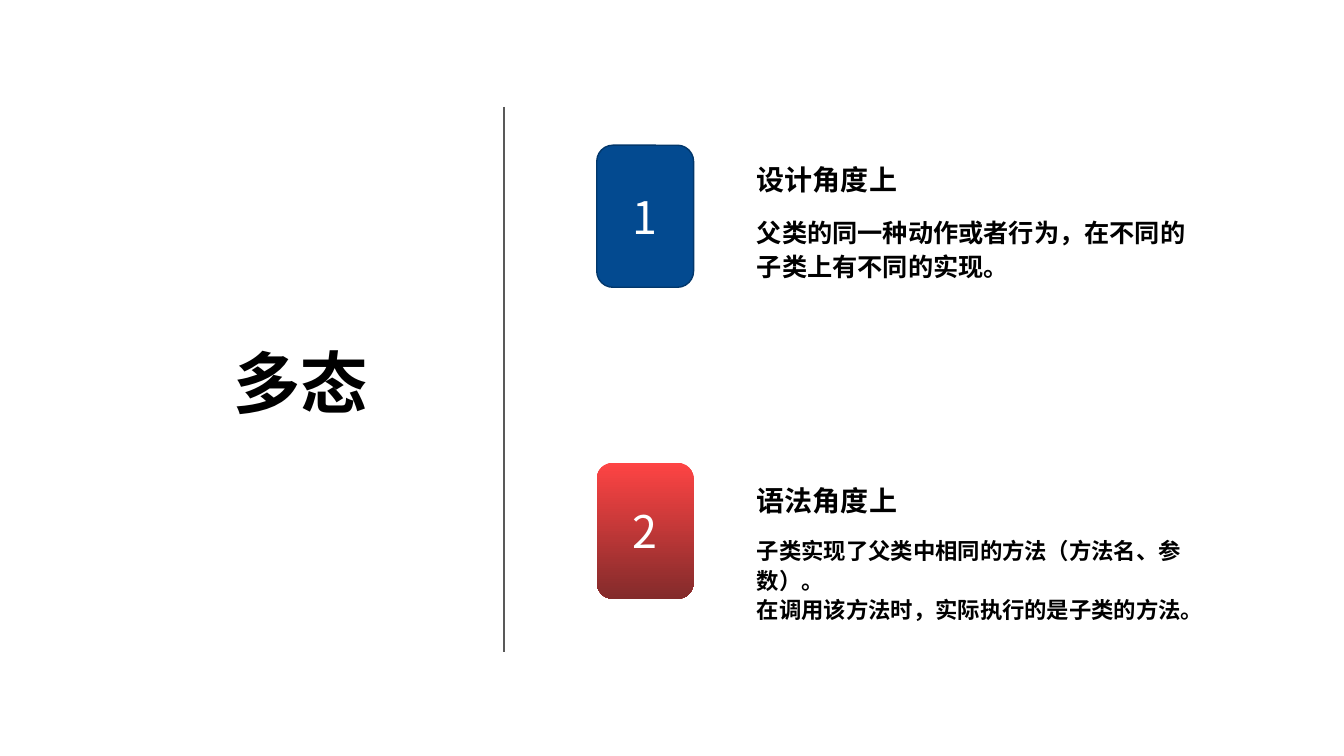
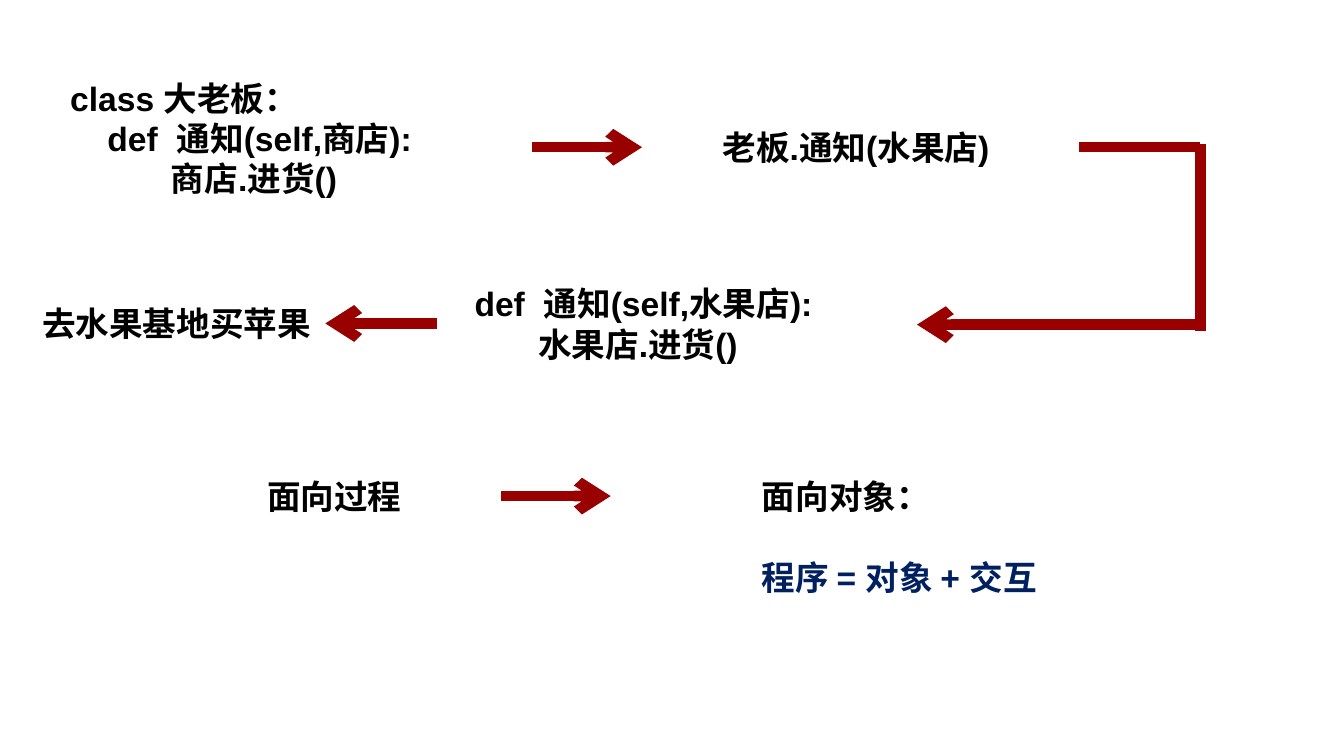
from lxml.etree import SubElement
from pptx import Presentation
from pptx.dml.color import RGBColor
from pptx.enum.shapes import MSO_CONNECTOR, MSO_SHAPE
from pptx.enum.text import MSO_ANCHOR, MSO_AUTO_SIZE, PP_ALIGN
from pptx.oxml.ns import qn
from pptx.util import Cm, Pt

COLORS = {
    "ink": "000000",
    "white": "FFFFFF",
    "rule": "595959",
    "blue": "034A90",
    "blue_edge": "02376B",
    "red_top": "FE4444",
    "red_bottom": "832B2B",
    "arrow": "990000",
    "navy": "002060",
}
CJK_FONT = "Noto Sans CJK SC"
CODE_FONT = "Arial"
LINE_HEIGHT = 1.2
CODE_STEPS = (0, 0.94, 2.54)


def rgb(name):
    return RGBColor.from_string(COLORS[name])


def place(shape, left, top, width, height):
    shape.left, shape.top = Cm(left), Cm(top)
    shape.width, shape.height = Cm(width), Cm(height)
    return shape


def add_run(paragraph, text, size, font, color, bold, spread=0):
    run = paragraph.add_run()
    run.text = text
    run.font.size, run.font.bold, run.font.name = Pt(size), bold, font
    run.font.color.rgb = rgb(color)
    properties = run._r.get_or_add_rPr()
    SubElement(properties, qn("a:ea")).set("typeface", CJK_FONT)
    if spread:
        properties.set("spc", str(round(spread * 100)))


def write(frame, text, size=24, font=CJK_FONT, color="ink", bold=True,
          align=PP_ALIGN.LEFT, anchor=MSO_ANCHOR.TOP, spacing=1.0,
          indent=0, before=0, keyword_gap=0, first=True):
    frame.word_wrap = True
    frame.auto_size = MSO_AUTO_SIZE.NONE
    frame.vertical_anchor = anchor
    for number, line in enumerate(text.split("\n")):
        fresh = first and number == 0
        paragraph = frame.paragraphs[0] if fresh else frame.add_paragraph()
        paragraph.alignment = align
        paragraph.line_spacing = Pt(size * LINE_HEIGHT * spacing)
        paragraph.space_before = Pt(before)
        properties = paragraph._p.get_or_add_pPr()
        properties.set("marL", str(Cm(indent)))
        properties.set("indent", "0")
        SubElement(properties, qn("a:buNone"))
        if keyword_gap:
            keyword, space, rest = line.partition(" ")
            add_run(paragraph, keyword, size, font, color, bold)
            add_run(paragraph, space, size, font, color, bold, keyword_gap)
            add_run(paragraph, rest, size, font, color, bold)
        else:
            add_run(paragraph, line, size, font, color, bold)


def add_line(slide, start, end, color="arrow", width=7.5, arrow=True):
    line = slide.shapes.add_connector(
        MSO_CONNECTOR.STRAIGHT, *(Cm(value) for value in start + end))
    line.line.color.rgb = rgb(color)
    line.line.width = Pt(width)
    properties = line._element.spPr
    if arrow:
        outline = properties.find(qn("a:ln"))
        SubElement(outline, qn("a:tailEnd")).set("type", "arrow")
    SubElement(properties, qn("a:effectLst"))


def add_badge(slide, number, top, height, colors, edge=None):
    badge = place(slide.shapes.add_shape(MSO_SHAPE.ROUNDED_RECTANGLE, 0, 0, 0, 0),
                  15.04, top, 2.44, height)
    badge.shadow.inherit = False
    if len(colors) == 1:
        badge.fill.solid()
        badge.fill.fore_color.rgb = rgb(colors[0])
    else:
        badge.fill.gradient()
        badge.fill.gradient_angle = 270
        for stop, color in zip(badge.fill.gradient_stops, colors):
            stop.color.rgb = rgb(color)
    if edge:
        badge.line.color.rgb = rgb(edge)
        badge.line.width = Pt(1)
    else:
        badge.line.fill.background()
    write(badge.text_frame, number, size=32, color="white", bold=False,
          align=PP_ALIGN.CENTER, anchor=MSO_ANCHOR.MIDDLE)


def add_label(slide, text, left, top, width, height=1.27, **style):
    label = slide.shapes.add_textbox(Cm(left), Cm(top), Cm(width), Cm(height))
    write(label.text_frame, text, font=CODE_FONT, **style)
    return label.text_frame


def add_code(slide, lines, left, top, height):
    frame = None
    for level, text in lines:
        style = {"indent": CODE_STEPS[level],
                 "keyword_gap": 6.7 if text.startswith("def ") else 0}
        if frame is None:
            frame = add_label(slide, text, left, top, 11.1, height, **style)
        else:
            write(frame, text, font=CODE_FONT, first=False, **style)


def build_polymorphism(deck):
    slide = deck.slides.add_slide(deck.slide_layouts[4])
    title, heading_1, body_1, heading_2, body_2 = slide.placeholders
    add_line(slide, (12.7, 2.69), (12.7, 16.43), "rule", 1.25, arrow=False)
    place(title, 1.6, 8.48, 11.96, 2.31)
    write(title.text_frame, "多态", size=48, align=PP_ALIGN.CENTER)

    add_badge(slide, "1", 3.66, 3.58, ["blue"], "blue_edge")
    add_badge(slide, "2", 11.66, 3.43, ["red_top", "red_bottom"])

    views = [
        (heading_1, 3.58, 1.5, "设计角度上",
         body_1, 5.28, 2.84, 18, "父类的同一种动作或者行为，在不同的子类上有不同的实现。"),
        (heading_2, 11.71, 1.45, "语法角度上",
         body_2, 13.34, 2.72, 16,
         "子类实现了父类中相同的方法（方法名、参数）。\n"
         "在调用该方法时，实际执行的是子类的方法。"),
    ]
    for (heading, heading_top, heading_height, name,
         body, body_top, body_height, size, meaning) in views:
        place(heading, 18.82, heading_top, 11.66, heading_height)
        write(heading.text_frame, name, size=20, anchor=MSO_ANCHOR.BOTTOM)
        place(body, 18.82, body_top, 11.66, body_height)
        write(body.text_frame, meaning, size=size, spacing=1.1)


def build_interaction(deck):
    slide = deck.slides.add_slide(deck.slide_layouts[6])
    add_code(slide, [(0, "class 大老板："), (1, "def 通知(self,商店):"),
                     (2, "商店.进货()")], 1.52, 1.83, 3.33)
    add_code(slide, [(1, "def 通知(self,水果店):"), (2, "水果店.进货()")],
             10.77, 7.01, 2.31)
    add_label(slide, "老板.通知(水果店)", 17.96, 3.07, 11.1)
    add_label(slide, "去水果基地买苹果", 0.81, 7.52, 7.39)
    add_label(slide, "面向过程", 6.48, 11.86, 5.41)
    objects = add_label(slide, "面向对象：", 18.95, 11.86, 10.92, 3.33)
    write(objects, "程序 = 对象 + 交互", font=CODE_FONT, color="navy",
          before=29, first=False)

    for start, end in [((13.41, 3.71), (16.18, 3.71)),
                       ((30.28, 8.18), (23.11, 8.18)),
                       ((11.02, 8.15), (8.2, 8.15)),
                       ((12.62, 12.5), (15.39, 12.5))]:
        add_line(slide, start, end)
    for start, end in [((27.2, 3.71), (30.23, 3.71)),
                       ((30.25, 3.63), (30.25, 8.33))]:
        add_line(slide, start, end, arrow=False)


def main():
    deck = Presentation()
    deck.slide_width, deck.slide_height = Cm(33.87), Cm(19.05)
    build_polymorphism(deck)
    build_interaction(deck)
    deck.save("out.pptx")


main()
